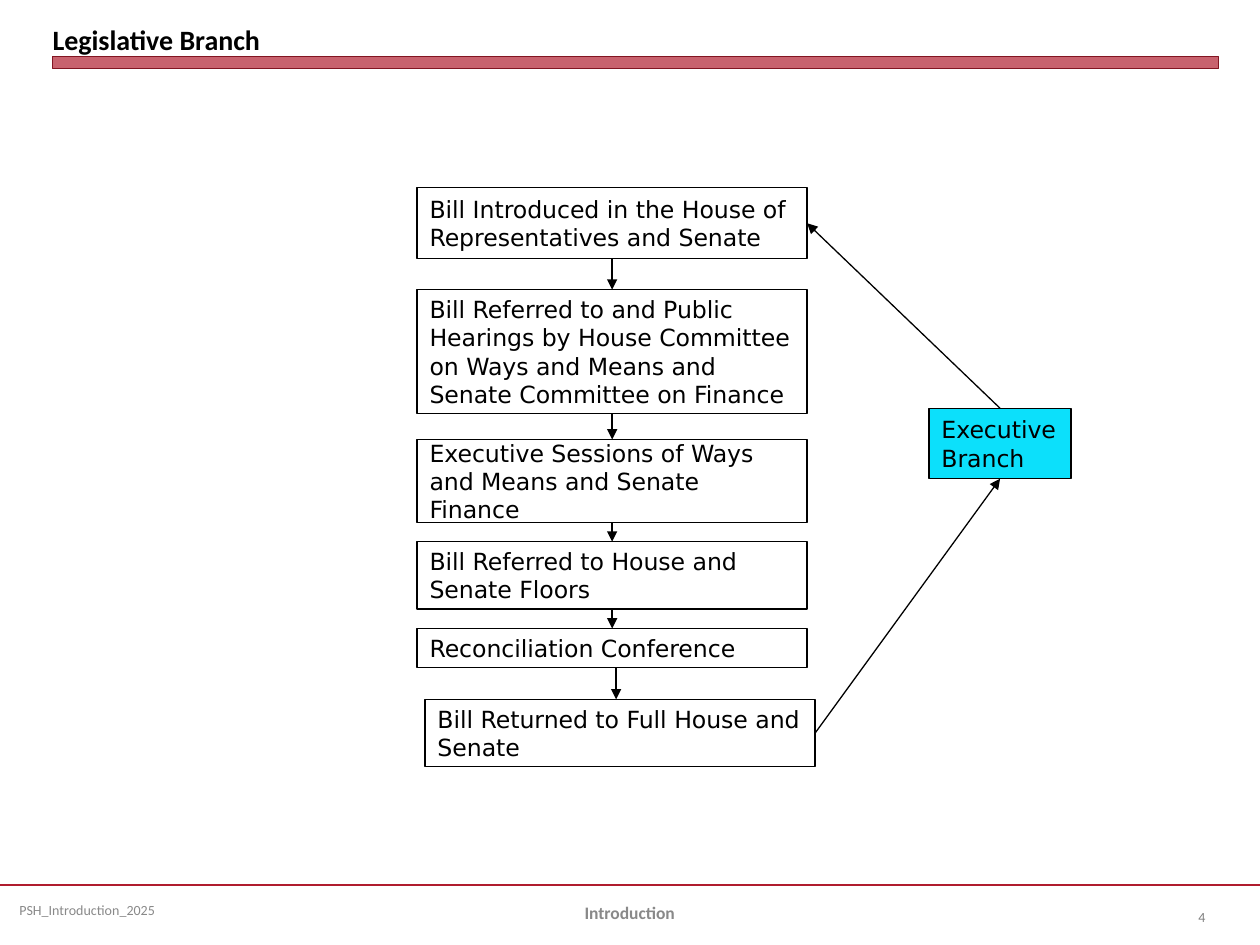
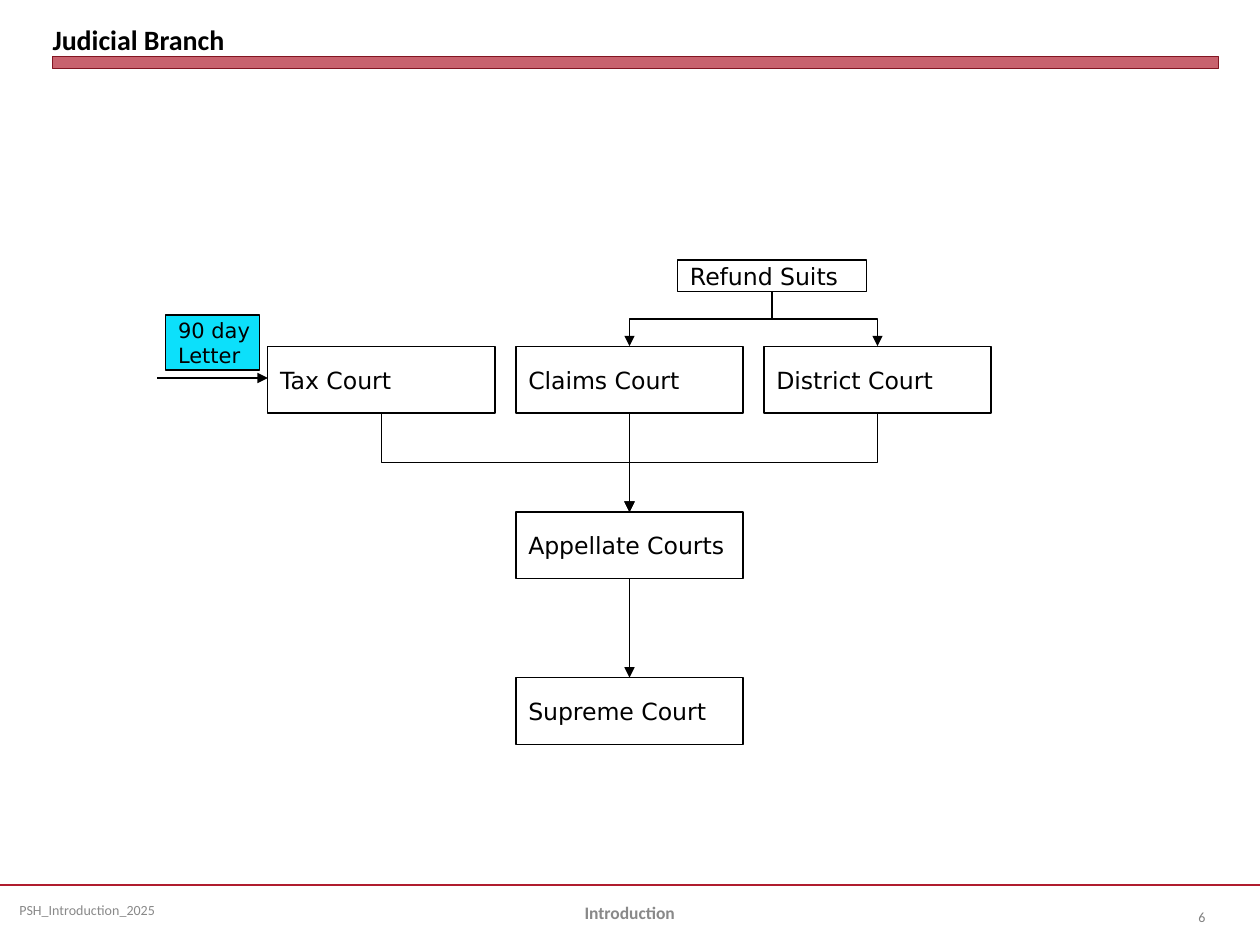
import pptx
import pptx.util
import pptx.dml.color
import pptx.enum.shapes
import pptx.enum.text
import pptx.oxml.ns
from lxml import etree

Cm = pptx.util.Cm
Pt = pptx.util.Pt
RGBColor = pptx.dml.color.RGBColor
KIND = pptx.enum.shapes.MSO_CONNECTOR
RECT = pptx.enum.shapes.MSO_SHAPE.RECTANGLE
ANCHOR = pptx.enum.text.MSO_ANCHOR
ALIGN = pptx.enum.text.PP_ALIGN
qn = pptx.oxml.ns.qn

BLACK = RGBColor(0x00, 0x00, 0x00)
RED = RGBColor(0xB0, 0x1C, 0x2E)
DARK = RGBColor(0x82, 0x15, 0x22)
GREY = RGBColor(0x89, 0x89, 0x89)
MID = RGBColor(0x80, 0x80, 0x80)
CYAN = RGBColor(0x0C, 0xE0, 0xFB)


def put(slide, text, at, size=13.5, font="DejaVu Sans", color=BLACK, bold=False,
        align=ALIGN.LEFT, anchor=ANCHOR.MIDDLE, inset=(0.25, 0.13),
        wrap=True, frame=True, fill=None):
    """Write text in a framed box, or in a plain text box without a frame."""
    spot = [Cm(n) for n in at]
    if frame:
        shape = slide.shapes.add_shape(RECT, *spot)
        shape.shadow.inherit = False
        shape.line.color.rgb = BLACK
        shape.line.width = Pt(0.75)
        if fill is None:
            shape.fill.background()
        else:
            shape.fill.solid()
            shape.fill.fore_color.rgb = fill
    else:
        shape = slide.shapes.add_textbox(*spot)
    body = shape.text_frame
    body.word_wrap = wrap
    body.vertical_anchor = anchor
    body.margin_left = body.margin_right = Cm(inset[0])
    body.margin_top = body.margin_bottom = Cm(inset[1])
    body.text = text
    for para in body.paragraphs:
        para.alignment = align
        para.font.size = Pt(size)
        para.font.name = font
        para.font.bold = bold
        para.font.color.rgb = color


def link(slide, x1, y1, x2, y2, color=BLACK, width=0.75, head=True, bent=False):
    """Draw a line; a bent one leaves and arrives vertically."""
    if bent:
        # A turned elbow: its frame has width and height swapped
        midx, midy = (x1 + x2) / 2, (y1 + y2) / 2
        halfw, halfh = (y2 - y1) / 2, abs(x2 - x1) / 2
        side = 1 if x2 < x1 else -1
        line = slide.shapes.add_connector(
            KIND.ELBOW, Cm(midx - side * halfw), Cm(midy - halfh),
            Cm(midx + side * halfw), Cm(midy + halfh))
        turn = 90 if side == 1 else 270
        line._element.spPr.find(qn("a:xfrm")).set("rot", str(turn * 60000))
    else:
        line = slide.shapes.add_connector(
            KIND.STRAIGHT, Cm(x1), Cm(y1), Cm(x2), Cm(y2))
    line.line.color.rgb = color
    line.line.width = Pt(width)
    if head:
        etree.SubElement(line.line._get_or_add_ln(), qn("a:tailEnd"), type="triangle")
    etree.SubElement(line._element.spPr, qn("a:effectLst"))


deck = pptx.Presentation()
deck.slide_width = Cm(25.4)
deck.slide_height = Cm(19.05)

# Shared frame: footer rule, band, title and footers
pages = []
for title, number in (("Legislative Branch", "4"), ("Judicial Branch", "6")):
    page = deck.slides.add_slide(deck.slide_layouts[6])
    link(page, 0, 17.84, 25.4, 17.84, color=RED, width=1.25, head=False)
    put(page, "PSH_Introduction_2025", (0.21, 17.83, 6.55, 1.02), size=8,
        font="Calibri", color=GREY, inset=(0.18, 0.1), frame=False)
    band = page.shapes.add_shape(RECT, Cm(1.06), Cm(1.14), Cm(23.5), Cm(0.25))
    band.shadow.inherit = False
    band.fill.solid()
    band.fill.fore_color.rgb = RED
    tint = band._element.spPr.find(qn("a:solidFill"))[0]
    etree.SubElement(tint, qn("a:alpha"), val="69000")
    band.line.color.rgb = DARK
    band.line.width = Pt(0)
    put(page, title, (1.06, 0.13, 23.5, 1), size=16, font="Calibri",
        bold=True, anchor=ANCHOR.BOTTOM, inset=(0, 0), frame=False)
    put(page, number, (23.28, 17.98, 1.27, 1.02), size=8, font="Calibri",
        color=MID, align=ALIGN.RIGHT, frame=False)
    put(page, "Introduction", (8.67, 17.89, 8.05, 1.02), size=10, font="Calibri",
        color=GREY, bold=True, align=ALIGN.CENTER, frame=False)
    pages.append(page)
law, court = pages

# Legislative Branch: steps from top to bottom
SPAN = 7.86
steps = [
    ("Bill Introduced in the House of Representatives and Senate", 8.41, 3.78, 1.43),
    ("Bill Referred to and Public Hearings by House Committee on Ways and Means "
     "and Senate Committee on Finance", 8.41, 5.84, 2.5),
    ("Executive Sessions of Ways and Means and Senate Finance", 8.41, 8.86, 1.68),
    ("Bill Referred to House and Senate Floors", 8.41, 10.92, 1.36),
    ("Reconciliation Conference", 8.41, 12.67, 0.79),
    ("Bill Returned to Full House and Senate", 8.57, 14.1, 1.36),
]
for text, left, top, high in steps:
    put(law, text, (left, top, SPAN, high))
for (_, left, top, high), (_, left2, top2, _) in zip(steps, steps[1:]):
    mid = (left + left2 + SPAN) / 2
    link(law, mid, top + high, mid, top2)

# Loop through the Executive Branch
put(law, "Executive Branch", (18.73, 8.23, 2.86, 1.42), fill=CYAN)
link(law, 16.43, 14.78, 20.16, 9.65)
link(law, 20.16, 8.23, 16.27, 4.5)

# Judicial Branch: courts on a grid of columns and rows
WIDE, HIGH = 4.58, 1.35
cols = [5.4 + 5 * i for i in range(3)]
rows = [6.98 + 3.34 * i for i in range(3)]
mids = [left + WIDE / 2 for left in cols]
for text, col, row in (("Tax Court", 0, 0), ("Claims Court", 1, 0),
                       ("District Court", 2, 0), ("Appellate Courts", 1, 1),
                       ("Supreme Court", 1, 2)):
    put(court, text, (cols[col], rows[row], WIDE, HIGH))

# Refund suits split to two courts
put(court, "Refund Suits", (13.66, 5.24, 3.81, 0.64), wrap=False)
for mid in mids[1:]:
    link(court, 15.56, 5.88, mid, rows[0], bent=True)

# Appeals run down the middle
for mid in (mids[0], mids[2]):
    link(court, mid, rows[0] + HIGH, mids[1], rows[1], bent=True)
for row, below in zip(rows, rows[1:]):
    link(court, mids[1], row + HIGH, mids[1], below)

# Letter that leads to Tax Court
link(court, 3.17, 7.62, cols[0], 7.62)
put(court, "90 day\nLetter", (3.34, 6.35, 1.9, 1.11), size=12, wrap=False, fill=CYAN)

deck.save("out.pptx")
